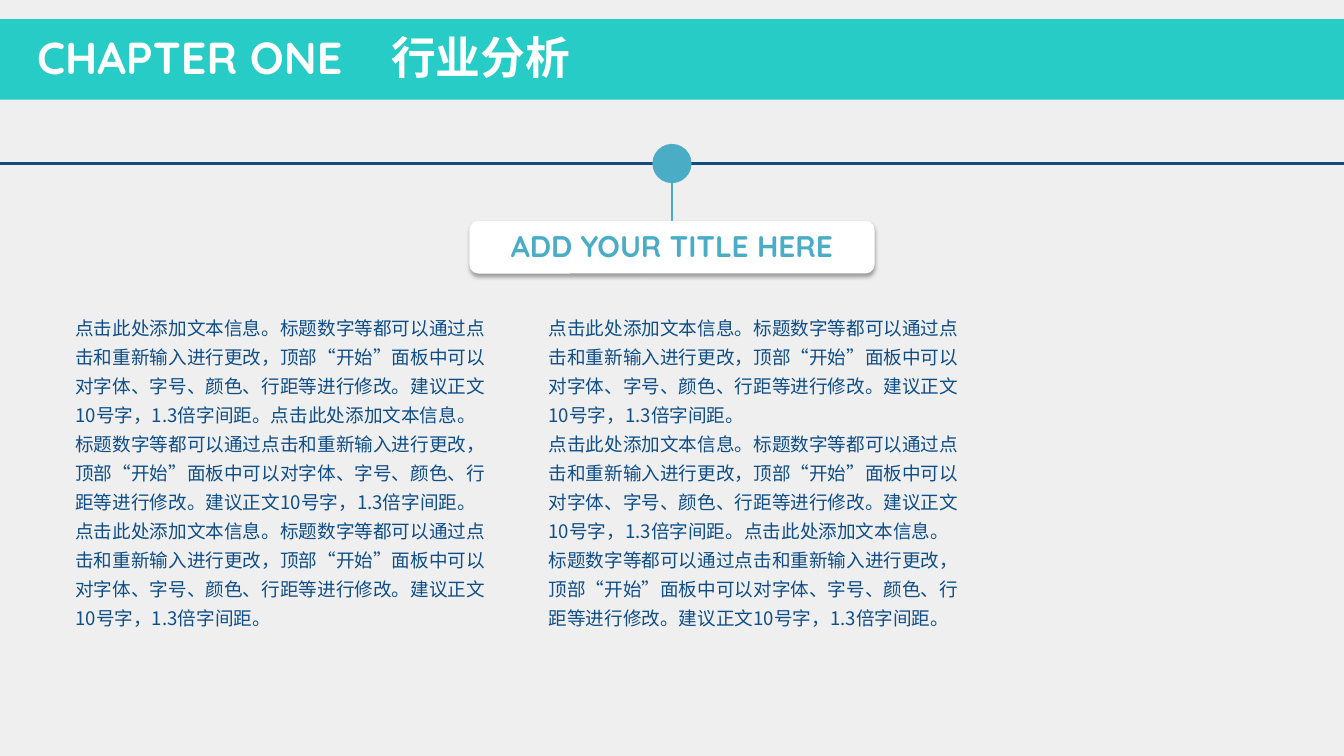
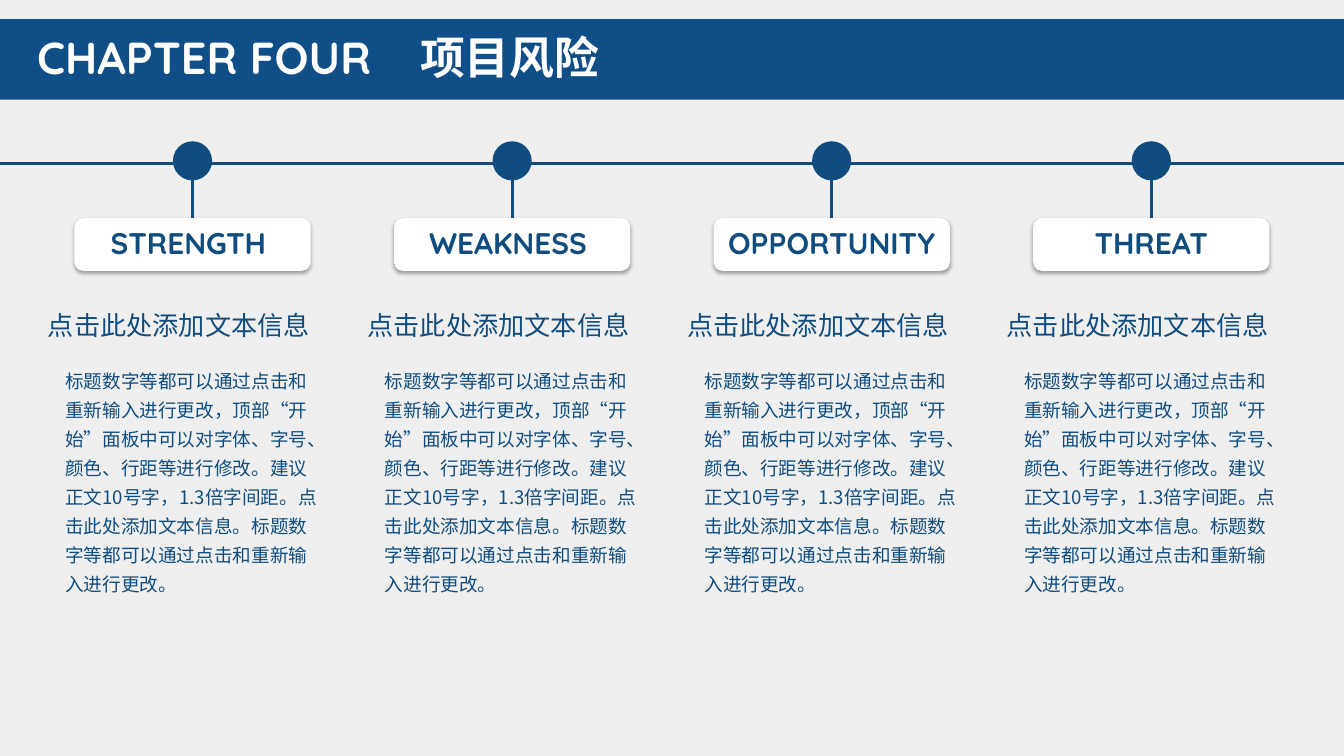
import pptx
import pptx.util
import pptx.dml.color
import pptx.enum.shapes
import pptx.enum.text
import pptx.oxml
import pptx.oxml.ns

Pt = pptx.util.Pt
RGB = pptx.dml.color.RGBColor
SHAPE = pptx.enum.shapes.MSO_SHAPE
ALIGN = pptx.enum.text.PP_ALIGN
ANCHOR = pptx.enum.text.MSO_ANCHOR

PAPER = RGB(0xEF, 0xEF, 0xEF)
WHITE = RGB(0xFF, 0xFF, 0xFF)
TEAL = RGB(0x26, 0xCC, 0xC5)
SKY = RGB(0x4B, 0xAC, 0xC6)
BLUE = RGB(0x10, 0x4E, 0x87)
NAVY = RGB(0x10, 0x4D, 0x7E)

LATIN = "Quicksand"
HAN = "Noto Sans CJK SC"
WIDE, HIGH = 960.48, 540
SHADE = (
    '<a:effectLst %s><a:outerShdw blurRad="39370" dist="22860" dir="5400000" '
    'algn="t" rotWithShape="0"><a:srgbClr val="000000"><a:alpha val="35000"/>'
    '</a:srgbClr></a:outerShdw></a:effectLst>' % pptx.oxml.ns.nsdecls("a")
)

HINT = "点击此处添加文本信息"
EDIT = "标题数字等都可以通过点击和重新输入进行更改"
MORE = "，顶部“开始”面板中可以对字体、字号、颜色、行距等进行修改。建议正文10号字，1.3倍字间距。"
ASK = f"{HINT}。{EDIT}{MORE}"


class Deck:
    """Holds the shared style and the slide being built."""

    def __init__(self):
        self.file = pptx.Presentation()
        self.file.slide_width, self.file.slide_height = Pt(WIDE), Pt(HIGH)
        self.slide = None

    def page(self, color, part, name, stop):
        self.slide = self.file.slides.add_slide(self.file.slide_layouts[6])
        fill = self.slide.background.fill
        fill.solid()
        fill.fore_color.rgb = PAPER
        self.shape(SHAPE.RECTANGLE, 0, 13.7, WIDE, 57.6, color)
        para = self.text(19.4, 18, 474.5, 46).paragraphs[0]
        tabs = pptx.oxml.parse_xml(
            '<a:tabLst %s><a:tab pos="%d" algn="l"/></a:tabLst>'
            % (pptx.oxml.ns.nsdecls("a"), Pt(stop))
        )
        para._p.get_or_add_pPr().append(tabs)
        for word in (part + "\t", name):
            self.run(para, word, 32, WHITE, LATIN, True)
        self.line(0, 116.6, WIDE, 116.6, NAVY)

    def shape(self, kind, left, top, width, height, color):
        shape = self.slide.shapes.add_shape(
            kind, Pt(left), Pt(top), Pt(width), Pt(height))
        shape.shadow.inherit = False
        shape.fill.solid()
        shape.fill.fore_color.rgb = color
        shape.line.fill.background()
        return shape

    def line(self, left, top, right, low, color):
        line = self.slide.shapes.add_connector(
            pptx.enum.shapes.MSO_CONNECTOR.STRAIGHT,
            Pt(left), Pt(top), Pt(right), Pt(low))
        line.line.color.rgb = color
        line.line.width = Pt(2)
        line._element.spPr.append(pptx.oxml.parse_xml(
            "<a:effectLst %s/>" % pptx.oxml.ns.nsdecls("a")))
        return line

    def text(self, left, top, width, height, wrap=True):
        box = self.slide.shapes.add_textbox(
            Pt(left), Pt(top), Pt(width), Pt(height))
        box.text_frame.word_wrap = wrap
        return box.text_frame

    def run(self, para, words, size, color, face=HAN, bold=False):
        run = para.add_run()
        run.text = words
        font = run.font
        font.size, font.bold, font.name = Pt(size), bold, face
        font.color.rgb = color
        run._r.get_or_add_rPr().append(pptx.oxml.parse_xml(
            '<a:ea %s typeface="%s"/>' % (pptx.oxml.ns.nsdecls("a"), HAN)))

    def head(self, left, top, words, color):
        frame = self.text(left, top, 202.4, 30.3, False)
        self.run(frame.paragraphs[0], words, 18.7, color)

    def body(self, left, top, width, height, parts, color):
        frame = self.text(left, top, width, height)
        for spot, words in enumerate(parts):
            para = frame.add_paragraph() if spot else frame.paragraphs[0]
            para.line_spacing = 1.3
            self.run(para, words, 13.3, color)

    def node(self, mid, top, width, words, color):
        size, drop = 28, 55
        self.shape(SHAPE.OVAL, mid - size / 2, top, size, size, color)
        stem = self.line(mid, top + size, mid, top + drop, color)
        card = self.shape(SHAPE.ROUNDED_RECTANGLE, mid - width / 2,
                          top + drop, width, 37.6, WHITE)
        card._element.spPr.remove(
            card._element.spPr.find(pptx.oxml.ns.qn("a:effectLst")))
        card._element.spPr.append(pptx.oxml.parse_xml(SHADE))
        stem.end_connect(card, 0)
        frame = card.text_frame
        frame.word_wrap = True
        frame.vertical_anchor = ANCHOR.MIDDLE
        frame.margin_top, frame.margin_bottom = Pt(3), Pt(6)
        para = frame.paragraphs[0]
        para.alignment = ALIGN.CENTER
        self.run(para, words, 21.3, color, LATIN, True)


def main():
    deck = Deck()

    deck.page(TEAL, "CHAPTER ONE", "行业分析", 253)
    deck.node(WIDE / 2, 102.8, 289.6, "ADD YOUR TITLE HERE", SKY)
    for left, parts in ((46.8, (ASK * 2, ASK)), (385, (ASK, ASK * 2))):
        deck.body(left, 218.2, 312.5, 238.3, parts, BLUE)

    deck.page(BLUE, "CHAPTER FOUR", "项目风险", 273.8)
    risks = ("STRENGTH ", "WEAKNESS ", "OPPORTUNITY ", "THREAT")
    for spot, name in enumerate(risks):
        mid = 137.6 + 228.4 * spot
        deck.node(mid, 100.9, 168.8, name, NAVY)
        deck.body(mid - 98, 256, 195.2, 175, (f"{EDIT}{MORE}{HINT}。{EDIT}。",), NAVY)
        deck.head(mid - 110.4, 217.2, HINT, NAVY)

    deck.file.save("out.pptx")


if __name__ == "__main__":
    main()
